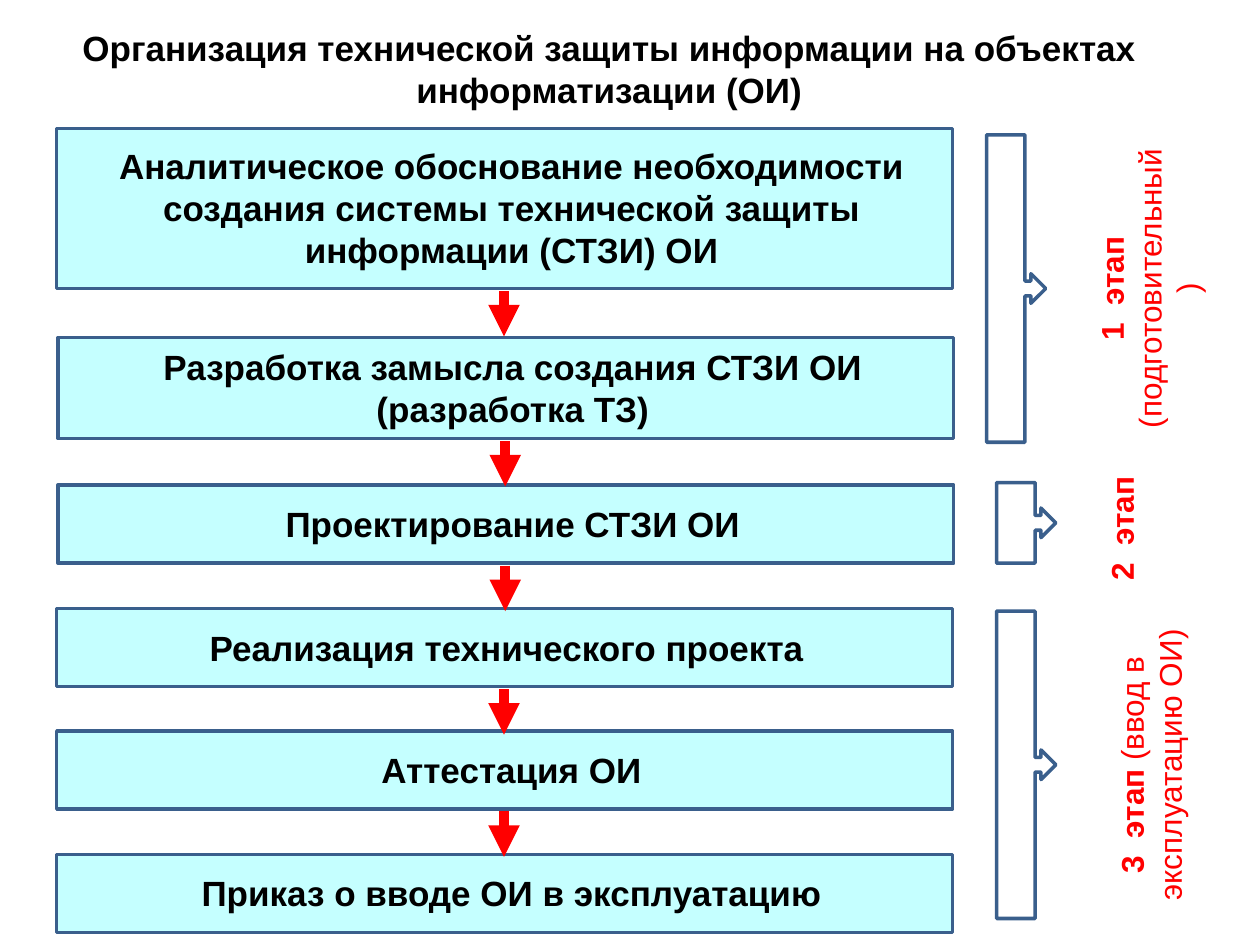
from lxml import etree
from pptx import Presentation
from pptx import util as u
from pptx.dml.color import RGBColor
from pptx.enum import shapes, text
from pptx.oxml.ns import qn

BLACK, RED, CYAN, BLUE = "000000", "FF0000", "C5FFFF", "3A5F8C"

TITLE = "Организация технической защиты информации на объектах информатизации (ОИ)"
STEPS = [
    (0.45, 1.02, 1.27, 1.11, ["Аналитическое обоснование необходимости создания системы "
                              "технической защиты информации (СТЗИ) ОИ"]),
    (0.46, 2.68, 0.8, 0.77, ["Разработка замысла создания СТЗИ ОИ", "(разработка ТЗ)"]),
    (0.46, 3.85, 0.62, 0.44, ["Проектирование СТЗИ ОИ"]),
    (0.45, 4.83, 0.62, 0.44, ["Реализация технического проекта "]),
    (0.45, 5.8, 0.62, 0.44, ["Аттестация ОИ"]),
    (0.45, 6.78, 0.62, 0.44, ["Приказ о вводе ОИ в эксплуатацию"]),
]
STAGES = [
    ((7.83, 1.07, 0.47, 2.44), (8.62, 1.07, 0.81, 2.44),
     [("1  этап ", True), ("(подготовительный)", False)]),
    ((7.91, 3.83, 0.47, 0.64), (8.7, 3.62, 0.5, 1.15), [("2  этап", True)]),
    ((7.91, 4.85, 0.47, 2.44), (8.78, 4.85, 0.81, 2.44),
     [("3  этап ", True), ("(ввод в эксплуатацию ОИ)", False)]),
]


def color(value):
    return RGBColor.from_string(value)


def inches(box):
    return [u.Inches(length) for length in box]


def apply(target, formats):
    for name, value in formats.items():
        setattr(target, name, value)


def add_label(parent, box, paragraphs, size, ink, vertical=False):
    label = parent.add_textbox(*inches(box))
    frame = label.text_frame
    apply(frame, {"word_wrap": True, "auto_size": text.MSO_AUTO_SIZE.SHAPE_TO_FIT_TEXT})
    if vertical:
        label.element.txBody.find(qn("a:bodyPr")).set("vert", "vert270")
    for index, spans in enumerate(paragraphs):
        para = frame.add_paragraph() if index else frame.paragraphs[0]
        para.alignment = text.PP_ALIGN.CENTER
        for words, bold in spans:
            span = para.add_run()
            span.text = words
            apply(span.font, {"name": "Arial", "size": u.Pt(size), "bold": bold})
            span.font.color.rgb = color(ink)


def add_outlined(parent, kind, box, fill=None):
    shape = parent.add_shape(kind, *inches(box))
    shape.shadow.inherit = False
    if fill:
        shape.fill.solid()
        shape.fill.fore_color.rgb = color(fill)
    else:
        shape.fill.background()
    shape.line.color.rgb = color(BLUE)
    shape.line.width = u.Pt(2)


def add_step(page, box, label_height, lines):
    left, top, width, height = box
    group = page.shapes.add_group_shape().shapes
    add_outlined(group, shapes.MSO_SHAPE.RECTANGLE, box, CYAN)
    label_box = (left + 0.26, top + (height - label_height) / 2, 6.7, label_height)
    add_label(group, label_box, [[(line, True)] for line in lines], 20, BLACK)


def add_arrow(page, x, top, length):
    arrow = page.shapes.add_connector(
        shapes.MSO_CONNECTOR.STRAIGHT, *inches((x, top, x, top + length)))
    arrow.line.color.rgb = color(RED)
    arrow.line.width = u.Pt(6)
    properties = arrow.element.spPr
    etree.SubElement(properties.find(qn("a:ln")), qn("a:tailEnd"), type="triangle")
    etree.SubElement(properties, qn("a:effectLst"))


def add_stage(page, callout_box, label_box, spans):
    add_outlined(page.shapes, shapes.MSO_SHAPE.RIGHT_ARROW_CALLOUT, callout_box)
    add_label(page.shapes, label_box, [spans], 18, RED, vertical=True)


def main():
    deck = Presentation()
    apply(deck, {"slide_width": u.Inches(10), "slide_height": u.Inches(7.5)})
    page = deck.slides.add_slide(deck.slide_layouts[6])
    add_label(page.shapes, (0.11, 0.16, 9.45, 0.77), [[(TITLE, True)]], 20, BLACK)
    for left, top, height, label_height, lines in STEPS:
        add_step(page, (left, top, 7.11, height), label_height, lines)
    for left, top, height, *_ in STEPS[:-1]:
        add_arrow(page, left + 3.55, top + height + 0.02, 0.36)
    for stage in STAGES:
        add_stage(page, *stage)
    deck.save("out.pptx")


if __name__ == "__main__":
    main()
